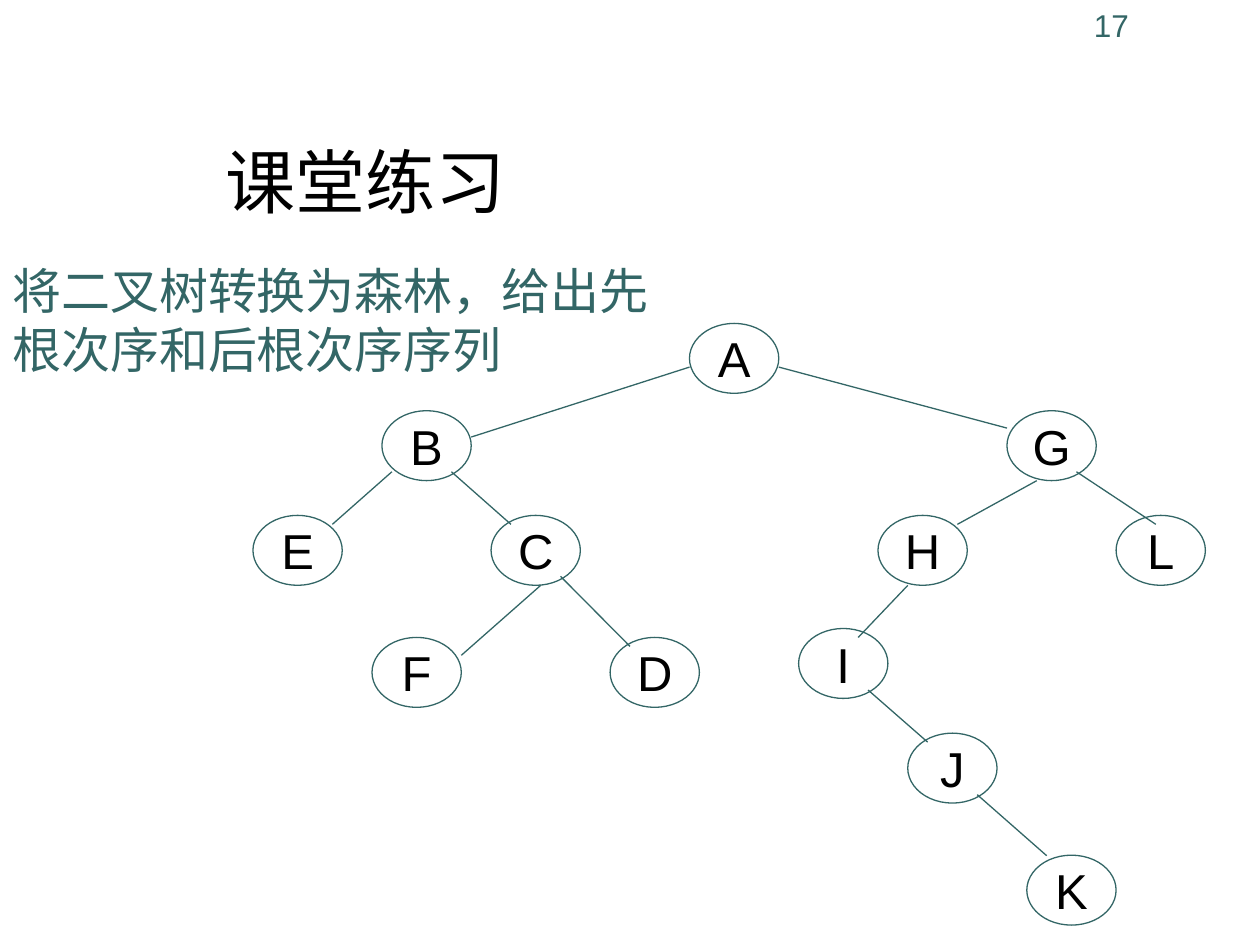
from pptx import Presentation
from pptx.dml.color import RGBColor
from pptx.enum.shapes import MSO_CONNECTOR, MSO_SHAPE
from pptx.enum.text import MSO_ANCHOR, MSO_AUTO_SIZE, PP_ALIGN
from pptx.oxml.ns import qn
from pptx.util import Cm, Pt
from lxml.etree import SubElement

TEAL, BLACK = "336666", "000000"


def tint(code):
    """Turn a hex string into a colour."""
    return RGBColor.from_string(code)


def write(shape, text, size, color, align=PP_ALIGN.LEFT, wrap=True):
    frame = shape.text_frame
    frame.word_wrap = wrap
    frame.auto_size = MSO_AUTO_SIZE.NONE
    para = frame.paragraphs[0]
    para.alignment = align
    run = para.add_run()
    run.text = text
    run.font.name = "Arial"
    run.font.size = Pt(size)
    run.font.color.rgb = tint(color)
    return frame


deck = Presentation()
deck.slide_width, deck.slide_height = Cm(25.4), Cm(19.05)
slide = deck.slides.add_slide(deck.slide_layouts[5])

page = slide.shapes.add_textbox(Cm(21.8), Cm(0), Cm(3.6), Cm(1.27))
write(page, "17", 18, TEAL)

title = slide.shapes.title
title.left, title.top, title.width, title.height = Cm(4.3), Cm(1.52), Cm(19.48), Cm(4.24)
write(title, "课堂练习", 40, BLACK).vertical_anchor = MSO_ANCHOR.MIDDLE

# Binary tree: left and top of each node
nodes = {
    "A": (13.9, 6.52),
    "B": (7.7, 8.28), "G": (20.3, 8.28),
    "E": (5.1, 10.39), "C": (9.9, 10.39), "H": (17.7, 10.39), "L": (22.5, 10.39),
    "F": (7.5, 12.85), "D": (12.3, 12.85), "I": (16.1, 12.67),
    "J": (18.3, 14.78),
    "K": (20.7, 17.24),
}
# Start and end of each branch
edges = [
    (13.9, 7.4, 9.5, 8.81),       # A to B
    (15.7, 7.4, 20.3, 8.63),      # A to G
    (7.9, 9.51, 6.7, 10.57),      # B to E
    (9.1, 9.51, 10.3, 10.57),     # B to C
    (20.9, 9.69, 19.3, 10.57),    # G to H
    (21.7, 9.51, 23.3, 10.57),    # G to L
    (10.9, 11.8, 9.3, 13.21),     # C to F
    (11.3, 11.62, 12.7, 13.03),   # C to D
    (18.3, 11.8, 17.3, 12.85),    # H to I
    (17.5, 13.91, 18.7, 14.96),   # I to J
    (19.7, 16.02, 21.1, 17.25),   # J to K
]

for name, (left, top) in nodes.items():
    node = slide.shapes.add_shape(MSO_SHAPE.OVAL, Cm(left), Cm(top), Cm(1.8), Cm(1.41))
    node.shadow.inherit = False
    node.fill.background()
    node.line.color.rgb = tint(TEAL)
    node.line.width = Pt(0.75)
    frame = write(node, name, 28, BLACK, PP_ALIGN.CENTER, wrap=False)
    frame.vertical_anchor = MSO_ANCHOR.MIDDLE

for ends in edges:
    edge = slide.shapes.add_connector(MSO_CONNECTOR.STRAIGHT, *map(Cm, ends))
    edge.line.color.rgb = tint(TEAL)
    edge.line.width = Pt(0.75)
    SubElement(edge._element.spPr, qn("a:effectLst"))

task = slide.shapes.add_textbox(Cm(0), Cm(5.13), Cm(14.2), Cm(2.64))
write(task, "将二叉树转换为森林，给出先根次序和后根次序序列", 28, TEAL)

deck.save("out.pptx")
